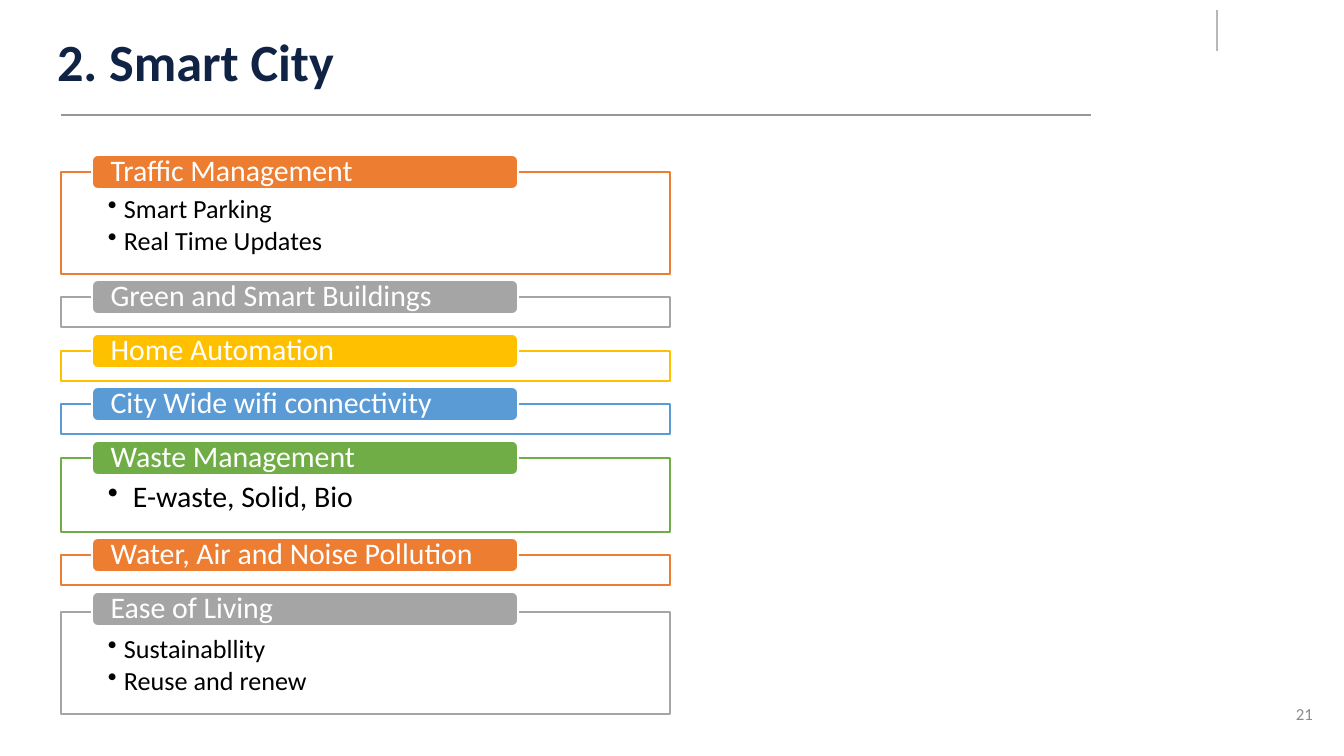
from lxml import etree
from pptx import Presentation, util as u
from pptx.dml.color import RGBColor
from pptx.enum import shapes, text
from pptx.oxml.ns import qn

PX = 914400 / 134.4

THEME = {
    "font": "Calibri", "title": "112344", "white": "FFFFFF", "black": "000000",
    "rule": "969696", "tick": "B7B7B7", "number": "8C8C8C",
    "orange": "ED7D31", "gray": "A5A5A5", "gold": "FFC000",
    "blue": "5B9BD5", "green": "70AD47",
    "title_pt": 28, "heading_pt": 16, "number_pt": 9,
}


def px(*lengths):
    return [u.Emu(round(length * PX)) for length in lengths]


def style(frame, size, color, insets, anchor, bold=False):
    frame.word_wrap = True
    frame.auto_size = text.MSO_AUTO_SIZE.NONE
    frame.vertical_anchor = anchor
    (frame.margin_left, frame.margin_top,
     frame.margin_right, frame.margin_bottom) = px(*insets)
    for paragraph in frame.paragraphs:
        paragraph.alignment = text.PP_ALIGN.LEFT
        paragraph.line_spacing = 0.9
        for run in paragraph.runs:
            run.font.name = THEME["font"]
            run.font.size = u.Pt(size)
            run.font.bold = bold
            run.font.color.rgb = RGBColor.from_string(THEME[color])


prs = Presentation()
prs.slide_width, prs.slide_height = px(1344, 756)
slide = prs.slides.add_slide(prs.slide_layouts[5])

# Title
title = slide.shapes.title
title.left, title.top, title.width, title.height = px(44, 22, 1159, 86)
title.text_frame.text = "2. Smart City"
style(title.text_frame, THEME["title_pt"], "title", (13, 7, 13, 7),
      text.MSO_ANCHOR.MIDDLE, bold=True)

# Rule under the title and tick at the top right
for ends, color in [((61, 115, 1091, 115), "rule"), ((1217, 10, 1217, 51), "tick")]:
    rule = slide.shapes.add_connector(shapes.MSO_CONNECTOR.STRAIGHT, *px(*ends))
    rule.line.color.rgb = RGBColor.from_string(THEME[color])
    rule.line.width = u.Pt(0.75)
    etree.SubElement(rule._element.spPr, qn("a:effectLst"))

# Topics: heading, colour, heading top, frame top, frame height, points, size, indent
topics = [
    ("Traffic Management", "orange", 155, 172, 102,
     ["Smart Parking", "Real Time Updates"], 14, 16),
    ("Green and Smart Buildings", "gray", 280, 297, 30, [], 14, 16),
    ("Home Automation", "gold", 334, 351, 30, [], 14, 16),
    ("City Wide wifi connectivity", "blue", 387, 404, 30, [], 14, 16),
    ("Waste Management", "green", 441, 458, 74, ["E-waste, Solid, Bio"], 16, 25),
    ("Water, Air and Noise Pollution", "orange", 538, 555, 30, [], 14, 16),
    ("Ease of Living", "gray", 592, 612, 102,
     ["Sustainabllity", "Reuse and renew"], 14, 16),
]
for heading, color, heading_top, top, height, points, size, indent in topics:
    accent = RGBColor.from_string(THEME[color])
    white = RGBColor.from_string(THEME["white"])

    # Outlined frame with its bullet points
    frame = slide.shapes.add_shape(shapes.MSO_SHAPE.RECTANGLE, *px(61, top, 609, height))
    tab = slide.shapes.add_shape(shapes.MSO_SHAPE.ROUNDED_RECTANGLE,
                                 *px(92, heading_top, 426, 34))
    for part, fill, line in [(frame, white, accent), (tab, accent, white)]:
        part.shadow.inherit = False
        part.fill.solid()
        part.fill.fore_color.rgb = fill
        part.line.color.rgb = line
        part.line.width = u.Pt(1)

    if points:
        frame.text_frame.text = "\n".join(points)
        for point in frame.text_frame.paragraphs:
            point.level = 1
            point.space_after = u.Pt(round(size * 0.15, 1))
            properties = point._p.get_or_add_pPr()
            properties.set("marL", str(px(indent)[0]))
            properties.set("indent", str(px(-indent)[0]))
            etree.SubElement(properties, qn("a:buChar"), char="•")
        style(frame.text_frame, size, "black", (47, 24, 47, 15), text.MSO_ANCHOR.TOP)

    # Heading tab
    tab.text_frame.text = heading
    style(tab.text_frame, THEME["heading_pt"], "white", (17, 0, 17, 0),
          text.MSO_ANCHOR.MIDDLE)

# Page number
number = slide.shapes.add_textbox(*px(1246, 686, 80, 58)).text_frame
number.text = "21"
style(number, THEME["number_pt"], "number", (13, 7, 13, 7), text.MSO_ANCHOR.MIDDLE)
number.paragraphs[0].alignment = text.PP_ALIGN.RIGHT

prs.save("out.pptx")
